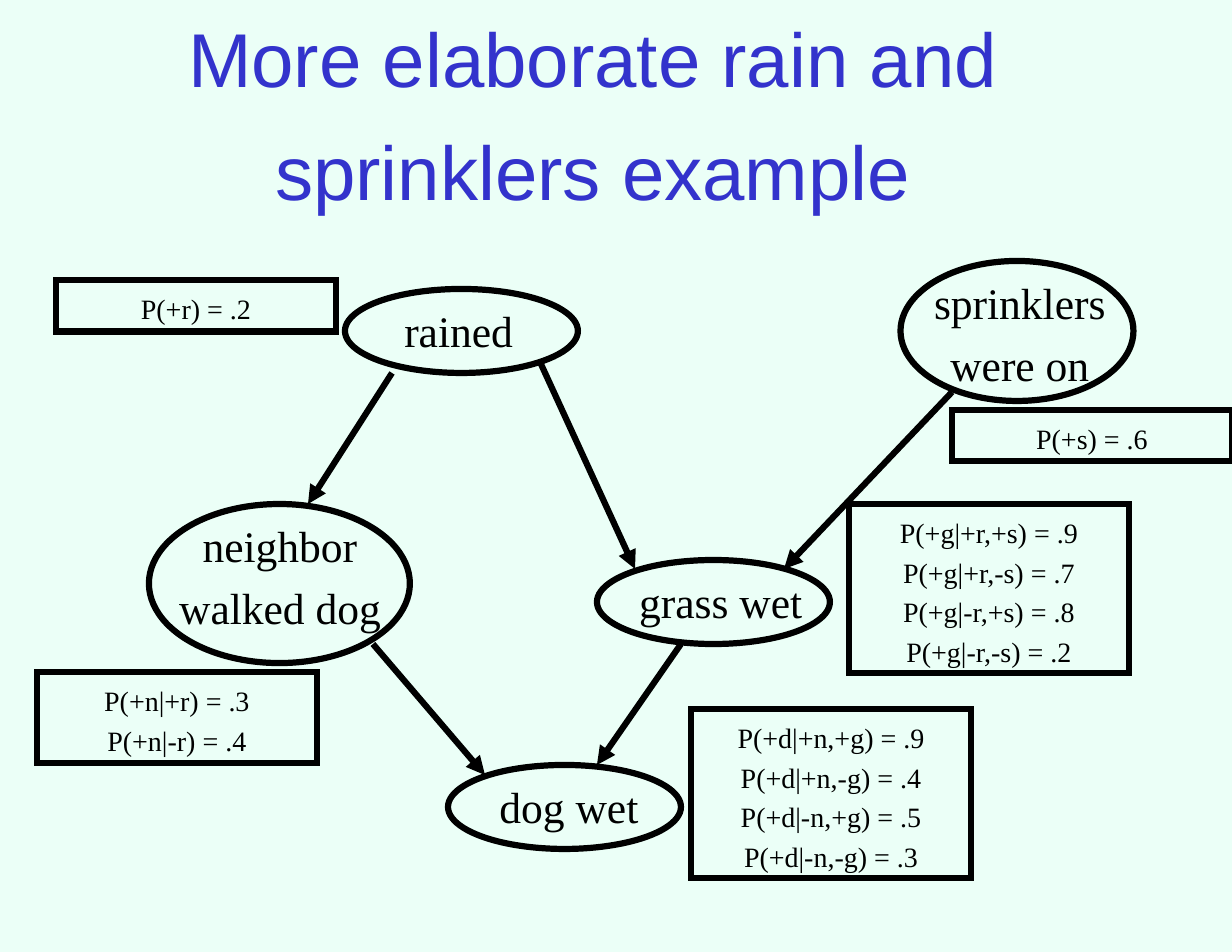
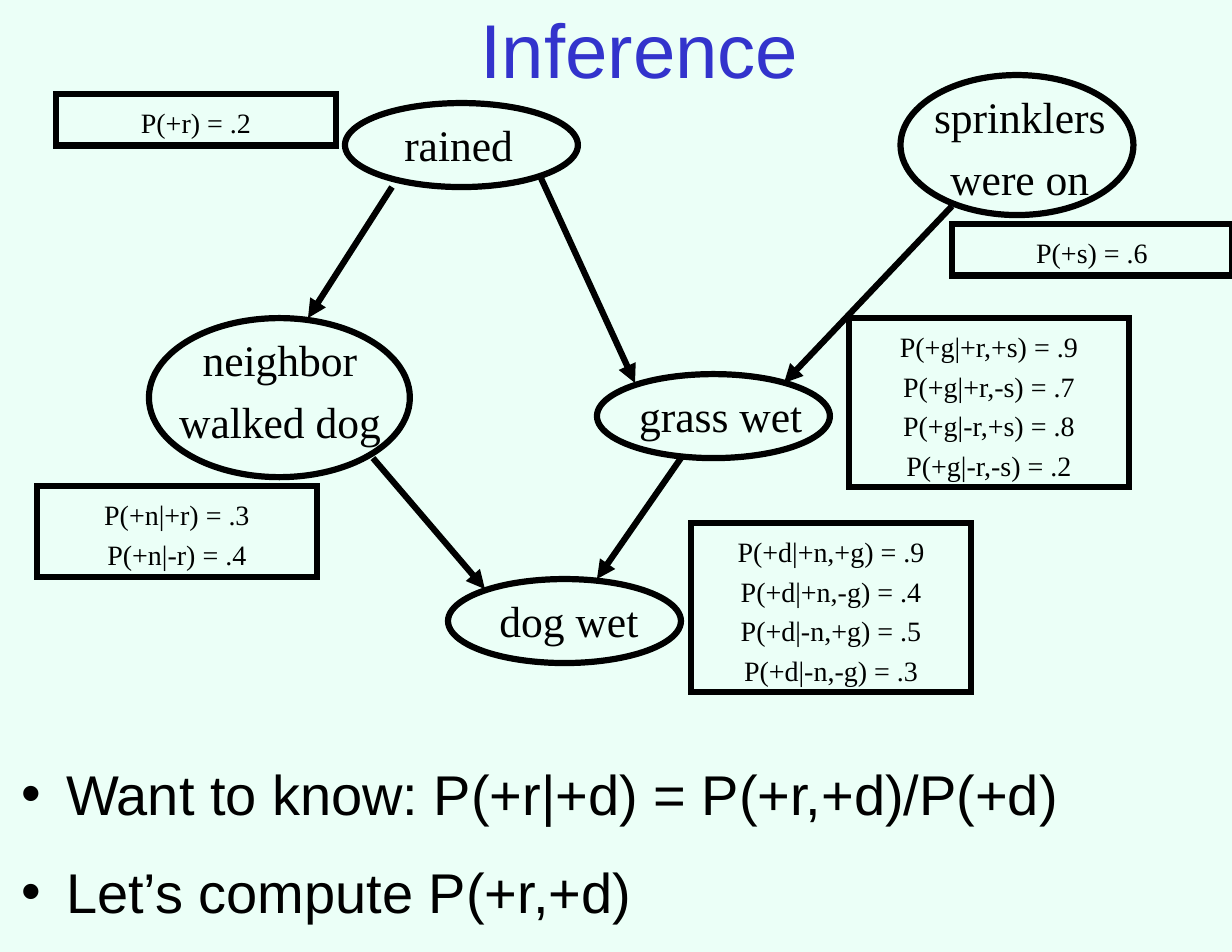
from lxml.etree import SubElement
from pptx import Presentation
from pptx.dml.color import RGBColor
from pptx.enum.shapes import MSO_CONNECTOR, MSO_SHAPE
from pptx.enum.text import MSO_ANCHOR, MSO_AUTO_SIZE, PP_ALIGN
from pptx.oxml.ns import qn
from pptx.util import Inches, Pt

COLORS = {"background": "EBFFF7", "title": "3333CC", "ink": "000000"}
LINE_WIDTH = Pt(4)

# Text styles: font, size, colour, paragraph format and insets
TITLE = {"font": {"name": "Arial", "size": Pt(49)}, "color": "title",
         "paragraph": {"alignment": PP_ALIGN.CENTER, "line_spacing": 1.24},
         "insets": (0.11, 0.06)}
BODY = {"font": {"name": "Arial", "size": Pt(36)}, "color": "ink",
        "paragraph": {"alignment": PP_ALIGN.LEFT, "line_spacing": 1.24},
        "insets": (0.11, 0.06)}
NODE = {"font": {"name": "Times New Roman", "size": Pt(28)}, "color": "ink",
        "paragraph": {"alignment": PP_ALIGN.CENTER, "line_spacing": 1.18},
        "insets": (0.1, 0.05)}
TABLE = {**NODE, "font": {"name": "Times New Roman", "size": Pt(18)}}

# Nodes: label, ellipse (left, top, width, height), label (left, width, height), wrap
NODES = [
    ("rained", (3.08, 2.58, 2.08, 0.75), (3.46, 1.27, 0.65), False),
    ("sprinklers were on", (8.04, 2.33, 2.08, 1.25), (7.96, 2.29, 1.2), True),
    ("grass wet", (5.33, 5, 2.08, 0.75), (5.56, 1.75, 0.65), False),
    ("dog wet", (4, 6.83, 2.08, 0.75), (3.75, 2.66, 0.65), True),
    ("neighbor walked dog", (1.33, 4.5, 2.33, 1.42), (1.17, 2.66, 1.2), True),
]

# Arrows: start x, start y, end x, end y
ARROWS = [
    (4.83, 3.25, 5.67, 5.08),  # rained to grass wet
    (8.5, 3.5, 7, 5.08),       # sprinklers to grass wet
    (3.5, 3.33, 2.75, 4.5),    # rained to neighbor
    (3.33, 5.75, 4.33, 6.92),  # neighbor to dog wet
    (6.08, 5.75, 5.33, 6.83),  # grass wet to dog wet
]

# Probability tables: left, top, rows
TABLES = [
    (0.5, 2.5, ["P(+r) = .2"]),
    (0.33, 6, ["P(+n|+r) = .3", "P(+n|-r) = .4"]),
    (8.5, 3.66, ["P(+s) = .6"]),
    (7.58, 4.5, ["P(+g|+r,+s) = .9", "P(+g|+r,-s) = .7",
                 "P(+g|-r,+s) = .8", "P(+g|-r,-s) = .2"]),
    (6.17, 6.33, ["P(+d|+n,+g) = .9", "P(+d|+n,-g) = .4",
                  "P(+d|-n,+g) = .5", "P(+d|-n,-g) = .3"]),
]

# Slides: title, title left and top, vertical shift of the network, bullets
SLIDES = [
    ("More elaborate rain and sprinklers example", 0.5, 0.58, 0, []),
    ("Inference", 0.92, 0, -1.66,
     ["Want to know: P(+r|+d) = P(+r,+d)/P(+d)", "Let’s compute P(+r,+d)"]),
]


def write(box, lines, style, **frame_format):
    frame = box.text_frame
    side, edge = (Inches(inset) for inset in style["insets"])
    settings = {"margin_left": side, "margin_right": side, "margin_top": edge,
                "margin_bottom": edge, "word_wrap": True,
                "vertical_anchor": MSO_ANCHOR.TOP,
                "auto_size": MSO_AUTO_SIZE.NONE, **frame_format}
    for name, value in settings.items():
        setattr(frame, name, value)
    for index, line in enumerate(lines):
        para = frame.add_paragraph() if index else frame.paragraphs[0]
        for name, value in style["paragraph"].items():
            setattr(para, name, value)
        span = para.add_run()
        span.text = line
        for name, value in style["font"].items():
            setattr(span.font, name, value)
        span.font.color.rgb = RGBColor.from_string(COLORS[style["color"]])


def add_outline(page, kind, *bounds):
    shape = page.shapes.add_shape(kind, *map(Inches, bounds))
    shape.shadow.inherit = False
    shape.fill.background()
    shape.line.color.rgb = RGBColor.from_string(COLORS["ink"])
    shape.line.width = LINE_WIDTH
    SubElement(shape._element.spPr.find(qn("a:ln")), qn("a:miter"), lim="800000")
    return shape


deck = Presentation()
deck.slide_width, deck.slide_height = Inches(11), Inches(8.5)
backdrop = deck.slide_master.background.fill
backdrop.solid()
backdrop.fore_color.rgb = RGBColor.from_string(COLORS["background"])
title_only = deck.slide_layouts.get_by_name("Title Only")

for heading, title_left, title_top, shift, bullets in SLIDES:
    page = deck.slides.add_slide(title_only)

    # Title
    title = page.shapes.title
    title.left, title.top = Inches(title_left), Inches(title_top)
    title.width, title.height = Inches(9.58), Inches(0.67)
    write(title, [heading], TITLE, vertical_anchor=MSO_ANCHOR.MIDDLE)

    # Bullets
    if bullets:
        body = page.shapes.add_textbox(*map(Inches, (0.08, 6.58, 10.92, 1.83)))
        write(body, bullets, BODY)
        for index, para in enumerate(body.text_frame.paragraphs):
            para.space_before = Pt(9 if index else 0)
            properties = para._p.get_or_add_pPr()
            properties.set("marL", str(Inches(0.4)))
            properties.set("indent", str(Inches(-0.4)))
            SubElement(properties, qn("a:buFont"), typeface="Arial")
            SubElement(properties, qn("a:buChar"), char="•")

    # Network nodes
    for label, (left, top, width, height), (label_left, label_width, label_height), wrap in NODES:
        add_outline(page, MSO_SHAPE.OVAL, left, top + shift, width, height)
        box = page.shapes.add_textbox(
            *map(Inches, (label_left, top + shift, label_width, label_height)))
        write(box, [label], NODE, word_wrap=wrap,
              auto_size=MSO_AUTO_SIZE.SHAPE_TO_FIT_TEXT)

    # Arrows between nodes
    for start_x, start_y, end_x, end_y in ARROWS:
        arrow = page.shapes.add_connector(
            MSO_CONNECTOR.STRAIGHT,
            *map(Inches, (start_x, start_y + shift, end_x, end_y + shift)))
        arrow.line.color.rgb = RGBColor.from_string(COLORS["ink"])
        arrow.line.width = LINE_WIDTH
        properties = arrow._element.spPr
        SubElement(properties.find(qn("a:ln")), qn("a:tailEnd"), type="triangle")
        SubElement(properties, qn("a:effectLst"))

    # Probability tables
    for left, top, rows in TABLES:
        height = 0.11 + 0.35 * len(rows)
        box = add_outline(page, MSO_SHAPE.RECTANGLE, left, top + shift, 2.5, height)
        write(box, rows, TABLE, auto_size=MSO_AUTO_SIZE.SHAPE_TO_FIT_TEXT)

deck.save("out.pptx")
